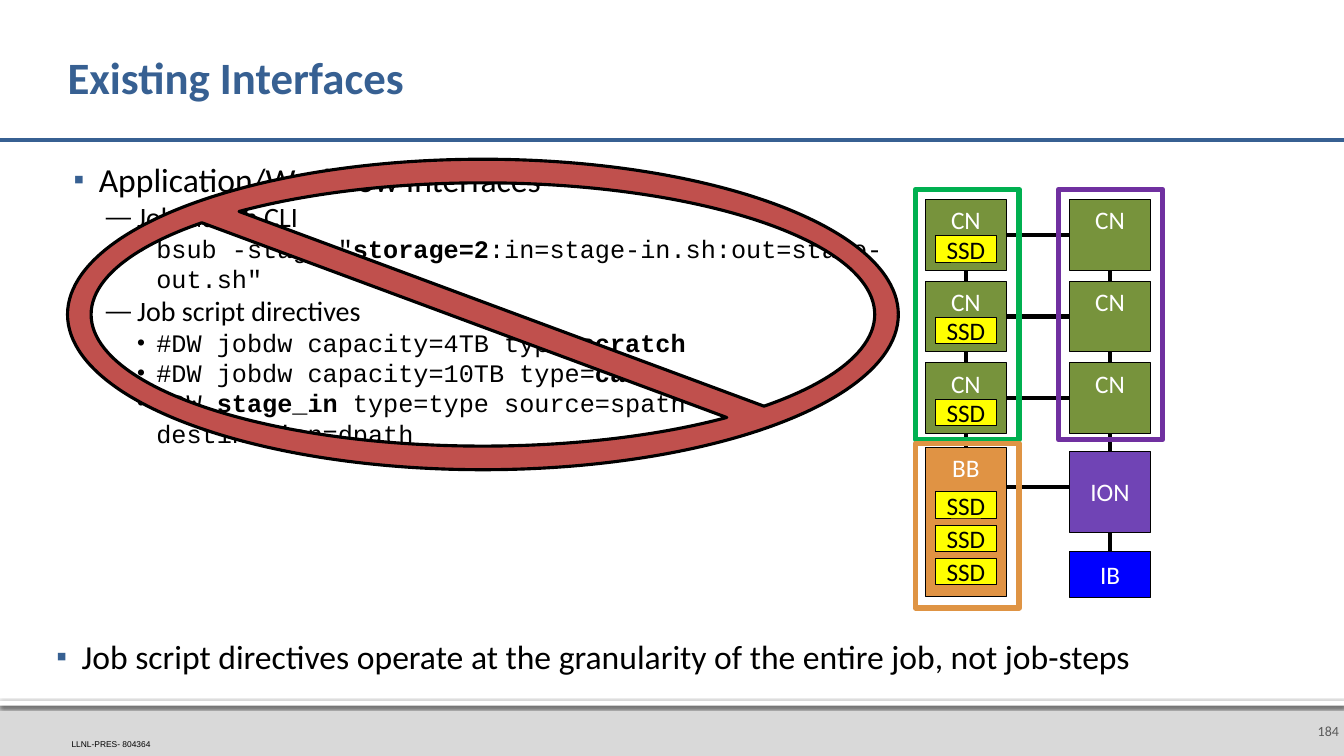
from dataclasses import dataclass

from lxml import etree
from pptx import Presentation
from pptx.dml.color import RGBColor
from pptx.enum.shapes import MSO_CONNECTOR, MSO_SHAPE
from pptx.enum.text import MSO_ANCHOR, MSO_AUTO_SIZE, PP_ALIGN
from pptx.oxml.ns import qn
from pptx.util import Inches, Pt

RECT, NO_SIGN = MSO_SHAPE.RECTANGLE, MSO_SHAPE.NO_SYMBOL
STRAIGHT = MSO_CONNECTOR.STRAIGHT
TOP, MIDDLE, BOTTOM = MSO_ANCHOR.TOP, MSO_ANCHOR.MIDDLE, MSO_ANCHOR.BOTTOM
LEFT, CENTER, RIGHT = PP_ALIGN.LEFT, PP_ALIGN.CENTER, PP_ALIGN.RIGHT
NO_FIT = MSO_AUTO_SIZE.NONE


@dataclass(frozen=True)
class Theme:
    sans: str = "Calibri"
    mono: str = "Courier New"
    small: str = "Arial"
    accent: str = "376092"
    black: str = "000000"
    white: str = "FFFFFF"
    footer: str = "D9D9D9"
    number: str = "595959"
    compute: str = "77933C"
    buffer: str = "E09344"
    ssd: str = "FFFF00"
    io_node: str = "7044B5"
    network: str = "0000FF"
    ban: str = "C0504D"
    title_size: int = 32
    label_size: int = 18
    number_size: int = 10
    code_size: int = 6


THEME = Theme()

# Content: each list item is (level, [(text, bold), ...])
TITLE = "Existing Interfaces"
INTERFACES = [
    (0, [("Application/Workflow Interfaces", False)]),
    (1, [("Job launch CLI", False)]),
    (2, [('bsub -stage "', False), ("storage=2", True),
         (':in=stage-in.sh:out=stage-out.sh"', False)]),
    (1, [("Job script directives", False)]),
    (2, [("#DW jobdw capacity=4TB type=", False), ("scratch", True)]),
    (2, [("#DW jobdw capacity=10TB type=", False), ("cache", True)]),
    (2, [("#DW ", False), ("stage_in ", True),
         ("type=type source=spath destination=dpath", False)]),
]
CONCLUSION = [(0, [("Job script directives operate at the granularity of the "
                    "entire job, not job-steps", False)])]
PAGE_NUMBER, DOCUMENT_CODE = "184", "LLNL-PRES- 804364"

# Level: bullet, bullet colour, left margin, hanging indent, size, font
LEVELS = [
    ("▪", THEME.accent, 0.31, -0.25, 24, THEME.sans),
    ("—", THEME.black, 0.69, -0.31, 20, THEME.sans),
    ("•", THEME.black, 0.88, -0.19, 18, THEME.mono),
]

# Cluster diagram grid
NODE_W, NODE_H = 0.8, 0.7
SSD_W, SSD_H = 0.6, 0.26
COLUMNS = (9.18, 10.61)
ROWS = [1.98 + 0.81 * i for i in range(3)]
BUFFER_SSD_ROWS = [4.88 + 0.33 * i for i in range(3)]
BUFFER_LINK_Y = 4.83
LEFT_MID, RIGHT_MID = (x + NODE_W / 2 for x in COLUMNS)
GROUP_FRAMES = [  # left, top, width, height, colour
    (9.08, 1.88, 1.03, 2.48, "00B050"),
    (9.08, 4.4, 1.03, 1.63, "DF9444"),
    (10.5, 1.88, 1.03, 2.48, "7030A0"),
]

prs = Presentation()
prs.slide_width, prs.slide_height = Inches(13.33), Inches(7.5)
slide = prs.slides.add_slide(prs.slide_layouts[1])
shapes = slide.shapes


def rgb(value):
    return RGBColor.from_string(value)


def place(item, *box):
    item.left, item.top, item.width, item.height = map(Inches, box)


def style(run, size, color, font=THEME.sans, bold=False):
    run.font.size, run.font.name, run.font.bold = Pt(size), font, bold
    run.font.color.rgb = rgb(color)


def set_frame(frame, anchor=TOP, insets=(0, 0, 0, 0), wrap=True):
    frame.auto_size, frame.word_wrap, frame.vertical_anchor = NO_FIT, wrap, anchor
    (frame.margin_left, frame.margin_top,
     frame.margin_right, frame.margin_bottom) = map(Inches, insets)


def write_line(frame, text, size, color, align=LEFT, font=THEME.sans, bold=False):
    paragraph = frame.paragraphs[0]
    paragraph.text, paragraph.alignment = text, align
    style(paragraph.runs[0], size, color, font, bold)
    return paragraph


def add_bullet(paragraph, char, color, margin, indent):
    props = paragraph._p.get_or_add_pPr()
    props.set("marL", str(Inches(margin)))
    props.set("indent", str(Inches(indent)))
    bullet_color = etree.SubElement(props, qn("a:buClr"))
    etree.SubElement(bullet_color, qn("a:srgbClr"), val=color)
    etree.SubElement(props, qn("a:buSzPct"), val="90000")
    etree.SubElement(props, qn("a:buFont"), typeface=THEME.small)
    etree.SubElement(props, qn("a:buChar"), char=char)


def write_list(frame, items):
    set_frame(frame)
    for index, (level, pieces) in enumerate(items):
        paragraph = frame.add_paragraph() if index else frame.paragraphs[0]
        char, color, margin, indent, size, font = LEVELS[level]
        paragraph.level, paragraph.alignment = level, LEFT
        paragraph.space_before = Pt(0)
        add_bullet(paragraph, char, color, margin, indent)
        for text, bold in pieces:
            run = paragraph.add_run()
            run.text = text
            style(run, size, THEME.black, font, bold)


def add_text_box(*box):
    return shapes.add_textbox(*map(Inches, box)).text_frame


def add_block(box, fill=None, line=None, width=0.5, kind=RECT):
    block = shapes.add_shape(kind, *map(Inches, box))
    block.shadow.inherit = False
    if fill:
        block.fill.solid()
        block.fill.fore_color.rgb = rgb(fill)
    else:
        block.fill.background()
    if line:
        block.line.color.rgb = rgb(line)
        block.line.width = Pt(width)
    else:
        block.line.fill.background()
    return block


def add_node(label, box, fill, color=THEME.white, anchor=MIDDLE):
    frame = add_block(box, fill, THEME.black).text_frame
    set_frame(frame, anchor, (0.1, 0.05, 0.1, 0.05), wrap=False)
    write_line(frame, label, THEME.label_size, color, CENTER)


def add_ssd(x, y):
    add_node("SSD", (x, y, SSD_W, SSD_H), THEME.ssd, THEME.black)


def add_rule(x1, y1, x2, y2, color=THEME.black):
    rule = shapes.add_connector(STRAIGHT, *map(Inches, (x1, y1, x2, y2)))
    rule.line.color.rgb, rule.line.width = rgb(color), Pt(3)
    etree.SubElement(rule._element.spPr, qn("a:effectLst"))


# Footer band, with a shadowed white strip along its top
add_block((0, 6.95, 13.33, 0.55), THEME.footer)
strip = add_block((0, 6.95, 13.33, 0.05), THEME.white)
shadow = etree.SubElement(strip._element.spPr.find(qn("a:effectLst")), qn("a:outerShdw"),
                          blurRad=str(Pt(2.5)), dist=str(Pt(0.8)), dir="5400000",
                          algn="t", rotWithShape="0")
shadow_color = etree.SubElement(shadow, qn("a:srgbClr"), val=THEME.black)
etree.SubElement(shadow_color, qn("a:alpha"), val="60000")
number = add_text_box(12.87, 7, 0.46, 0.5)
set_frame(number, MIDDLE, (0.1, 0.05, 0.05, 0.05))
write_line(number, PAGE_NUMBER, THEME.number_size, THEME.number, RIGHT)
code = add_text_box(0.71, 7.33, 1.27, 0.1)
set_frame(code, BOTTOM)
write_line(code, DOCUMENT_CODE, THEME.code_size, THEME.black, font=THEME.small)

# Title and lists
add_rule(0, 1.39, 13.33, 1.39, THEME.accent)
title, body = shapes.title, slide.placeholders[1]
place(title, 0.67, 0.24, 10.83, 1.1)
set_frame(title.text_frame, MIDDLE, (0, 0.05, 0.05, 0.05))
write_line(title.text_frame, TITLE, THEME.title_size, THEME.accent,
           bold=True).line_spacing = 0.9
place(body, 0.67, 1.58, 8.74, 5.37)
write_list(body.text_frame, INTERFACES)
write_list(add_text_box(0.5, 6.31, 12.67, 0.6), CONCLUSION)

# Cluster links, then the nodes over them
for y in [row + NODE_H / 2 for row in ROWS] + [BUFFER_LINK_Y]:
    add_rule(COLUMNS[0] + NODE_W, y, COLUMNS[1], y)
add_rule(LEFT_MID, ROWS[0] + NODE_H, LEFT_MID, 4.46)
add_rule(RIGHT_MID, ROWS[0] + NODE_H, RIGHT_MID, 5.5)
for y in ROWS:
    for x in COLUMNS:
        add_node("CN", (x, y, NODE_W, NODE_H), THEME.compute, anchor=TOP)
    add_ssd(COLUMNS[0] + 0.1, y + 0.36)
add_node("BB", (COLUMNS[0], 4.44, NODE_W, 1.48), THEME.buffer, anchor=TOP)
for y in BUFFER_SSD_ROWS:
    add_ssd(COLUMNS[0] + 0.1, y)
add_node("ION", (COLUMNS[1], 4.48, NODE_W, 0.8), THEME.io_node)
add_node("IB", (COLUMNS[1], 5.47, NODE_W, 0.46), THEME.network)

# Ban sign over the interfaces and frames around the node groups
ban = add_block((0.67, 1.58, 8.24, 3.08), THEME.ban, THEME.black, 2.25, NO_SIGN)
ban.adjustments[0] = 0.076
for *box, color in GROUP_FRAMES:
    add_block(box, line=color, width=4)

prs.save("out.pptx")
